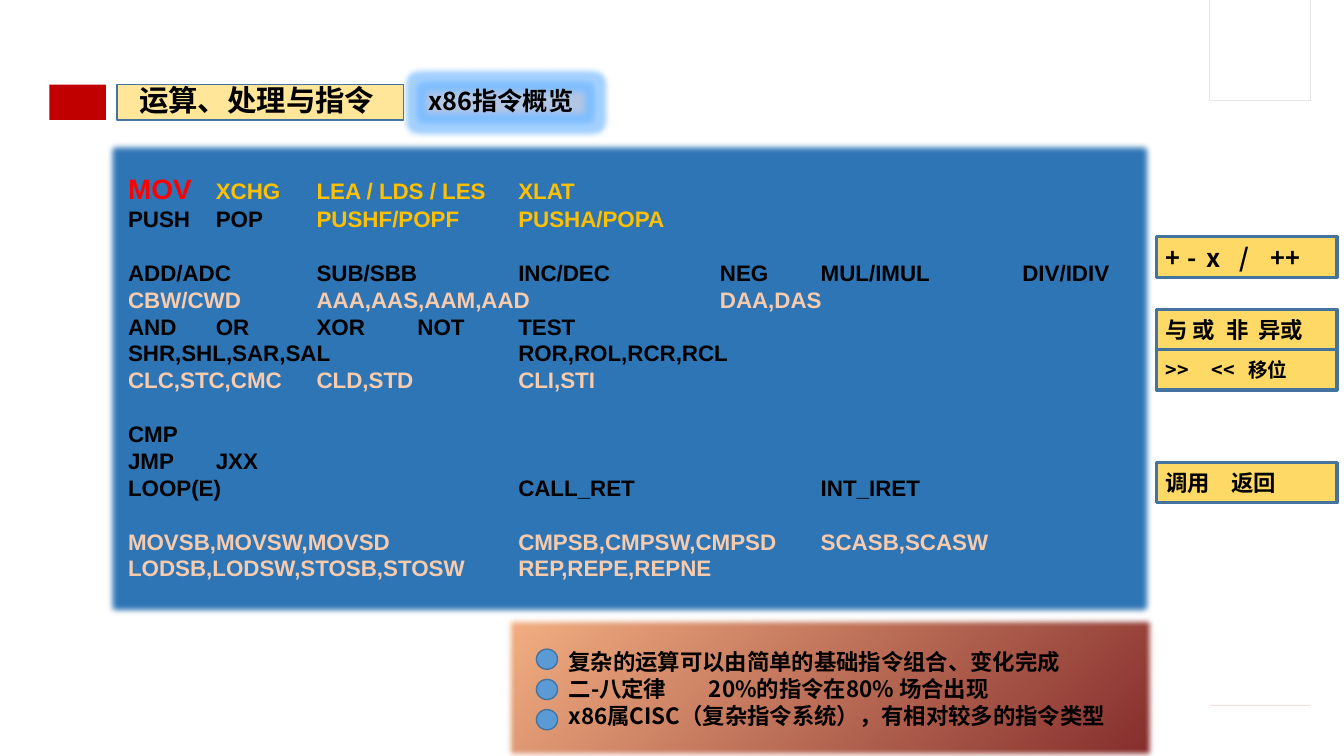
"""Builds the slide that gives an overview of the x86 instructions."""
from math import cos, radians, sin

from lxml import etree
from pptx import Presentation
from pptx import util as u
from pptx.dml.color import RGBColor
from pptx.enum import dml, shapes, text
from pptx.oxml.ns import qn

SANS = "Noto Sans CJK SC"
BLACK, AMBER, PEACH, RED, OUTLINE = "000000", "FFC000", "F8CBAD", "C00000", "43739E"
PITCH = 19.2

INSTRUCTIONS = [
    [[("MOV", "FF0000", 20), ("\tXCHG\tLEA / LDS / LES\tXLAT", AMBER, 16)],
     [("PUSH\tPOP\t", BLACK, 16), ("PUSHF/POPF\tPUSHA/POPA", AMBER, 16)]],
    [[("ADD/ADC\tSUB/SBB\t\tINC/DEC\t\tNEG\tMUL/IMUL\tDIV/IDIV", BLACK, 16)],
     [("CBW/CWD\tAAA,AAS,AAM,AAD\t\tDAA,DAS", PEACH, 16)],
     [("AND\tOR\tXOR\tNOT\tTEST", BLACK, 16)],
     [("SHR,SHL,SAR,SAL\t\tROR,ROL,RCR,RCL", BLACK, 16)],
     [("CLC,STC,CMC\tCLD,STD\t\tCLI,STI", PEACH, 16)]],
    [[("CMP", BLACK, 16)],
     [("JMP\tJXX", BLACK, 16)],
     [("LOOP(E)\t\t\tCALL_RET\t\tINT_IRET", BLACK, 16)]],
    [[("MOVSB,MOVSW,MOVSD\t\tCMPSB,CMPSW,CMPSD\tSCASB,SCASW", PEACH, 16)],
     [("LODSB,LODSW,STOSB,STOSW\tREP,REPE,REPNE", PEACH, 16)]],
]
REMARKS = ["复杂的运算可以由简单的基础指令组合、变化完成",
           "二-八定律\t20%的指令在80% 场合出现",
           "x86属CISC（复杂指令系统），有相对较多的指令类型"]
GROUP_LABELS = [(2.35, "+\t-\tx\t/\t++", 18, [0.22, 0.41, 0.73, 1.04]),
                (3.07, "与 或\t非\t异或", 16, [0.6, 0.92]),
                (3.47, ">>\t<<\t移位", 14, [0.46, 0.82]),
                (4.59, "调用\t返回", 16, [0.65])]


def rgb(value):
    """Return the colour of a hex string."""
    return RGBColor.from_string(value)


def style(shape, fill, line=None, width=1):
    """Give a shape a plain fill, an optional outline and no shadow."""
    shape.shadow.inherit = False
    shape.fill.solid()
    shape.fill.fore_color.rgb = rgb(fill)
    if line:
        shape.line.color.rgb = rgb(line)
        shape.line.width = u.Pt(width)
    else:
        shape.line.fill.background()


def block(slide, box, fill, line=None, width=1, kind=shapes.MSO_SHAPE.RECTANGLE):
    """Add a preset shape in the given box."""
    shape = slide.shapes.add_shape(kind, *map(u.Inches, box))
    style(shape, fill, line, width)
    return shape


def effect(shape, name, points):
    """Add a soft edge or a glow of the given radius."""
    effects = shape._element.spPr.find(qn("a:effectLst"))
    return etree.SubElement(effects, qn("a:" + name), rad=str(u.Pt(points)))


def frame(shape, left, top=0, anchor=text.MSO_ANCHOR.MIDDLE):
    """Set the insets and the anchor of a shape's text and return its frame."""
    body = shape.text_frame
    body.word_wrap = True
    body.auto_size = text.MSO_AUTO_SIZE.NONE
    body.vertical_anchor = anchor
    body.margin_left, body.margin_top = u.Inches(left), u.Inches(top)
    body.margin_right = body.margin_bottom = 0
    return body


def format_paragraph(paragraph, size, name=SANS, stops=()):
    """Set tab stops and the bold black font of a paragraph."""
    paragraph.alignment = text.PP_ALIGN.LEFT
    properties = paragraph._p.get_or_add_pPr()
    if stops:
        tabs = etree.SubElement(properties, qn("a:tabLst"))
        for stop in stops:
            etree.SubElement(tabs, qn("a:tab"), pos=str(u.Inches(stop)), algn="l")
    font = paragraph.font
    font.size, font.bold, font.name = u.Pt(size), True, name
    font.color.rgb = rgb(BLACK)
    etree.SubElement(properties.find(qn("a:defRPr")), qn("a:ea"), typeface=SANS)


def next_paragraph(body, index):
    """Return the first paragraph of a frame or a new one."""
    return body.add_paragraph() if index else body.paragraphs[0]


def heading(slide, left, top, height):
    """Place the red marker, the title and the glowing subtitle in a row."""
    block(slide, (left, top, 0.56, height), RED)
    title = slide.shapes.title
    title.left, title.top = u.Inches(left + 0.67), u.Inches(top)
    title.width, title.height = u.Inches(2.84), u.Inches(height)
    style(title, "FFE699", OUTLINE)
    subtitle = block(slide, (left + 3.67, top, 1.71, height), "B4C7E7")
    glow = effect(subtitle, "glow", 8)
    tint = etree.SubElement(glow, qn("a:srgbClr"), val="66B2FF")
    etree.SubElement(tint, qn("a:alpha"), val="60000")
    effect(subtitle, "softEdge", 5)
    for shape, words, size, inset in ((title, "运算、处理与指令", 21, 0.22),
                                      (subtitle, "x86指令概览", 18, 0.09)):
        paragraph = frame(shape, inset).paragraphs[0]
        paragraph.text = words
        paragraph.line_spacing = 0.9
        format_paragraph(paragraph, size)


def instruction_panel(slide, box):
    """Place the blue panel with the groups of instructions."""
    panel = block(slide, box, "2E75B6", OUTLINE, 2.25)
    panel.line.dash_style = dml.MSO_LINE.ROUND_DOT
    effect(panel, "softEdge", 5)
    body = frame(panel, 0.23, 0.38, text.MSO_ANCHOR.TOP)
    rows = [(group, place, row) for group, lines in enumerate(INSTRUCTIONS)
            for place, row in enumerate(lines)]
    for index, (group, place, row) in enumerate(rows):
        paragraph = next_paragraph(body, index)
        paragraph.line_spacing = u.Pt(PITCH)
        if group and not place:
            paragraph.space_before = u.Pt(PITCH)
        format_paragraph(paragraph, 16, "Arial", [0.87 + n for n in range(9)])
        for words, colour, size in row:
            run = paragraph.add_run()
            run.text = words
            run.font.color.rgb = rgb(colour)
            run.font.size = u.Pt(size)


def remarks_panel(slide, box):
    """Place the shaded panel with three remarks and their round markers."""
    left, top = box[:2]
    panel = block(slide, box, "F4B183")
    panel.fill.gradient()
    for stop, position, colour in zip(panel.fill.gradient_stops, (0, 1), ("F4B183", "832B2B")):
        stop.position = position
        stop.color.rgb = rgb(colour)
    shading = panel._element.spPr.find(qn("a:gradFill"))
    shading.remove(shading.find(qn("a:lin")))
    path = etree.SubElement(shading, qn("a:path"), path="circle")
    etree.SubElement(path, qn("a:fillToRect"), r="100000", b="100000")
    effect(panel, "softEdge", 5)
    body = frame(panel, 0.65, 0.33, text.MSO_ANCHOR.TOP)
    for index, remark in enumerate(REMARKS):
        paragraph = next_paragraph(body, index)
        paragraph.text = remark
        paragraph.line_spacing = u.Pt(PITCH)
        format_paragraph(paragraph, 16, stops=[1.39])
        block(slide, (left + 0.33, top + 0.34 + 0.3 * index, 0.21, 0.2), "5B9BD5",
              OUTLINE, kind=shapes.MSO_SHAPE.OVAL)


def group_labels(slide, left, width, height):
    """Place the yellow labels beside the groups of instructions."""
    for top, words, size, stops in GROUP_LABELS:
        label = block(slide, (left, top, width, height), "FFD966", OUTLINE, 2.25)
        paragraph = frame(label, 0.09).paragraphs[0]
        paragraph.text = words
        format_paragraph(paragraph, size, stops=stops)


def gear(slide, centre, teeth, radii, corners, colour):
    """Draw a gear from its tooth count, tip, root and hole radii and tooth angles."""
    def point(radius, angle):
        """Return the point at a radius and an angle in degrees."""
        return (centre[0] + radius * cos(radians(angle)),
                centre[1] - radius * sin(radians(angle)))

    tip, root, hole = radii
    rise, fall, start, end = corners
    profile = [(tip, rise), (tip, fall), (root, start), (root, (start + end) / 2), (root, end)]
    rim = [point(radius, angle + 360 / teeth * tooth)
           for tooth in range(teeth) for radius, angle in profile]
    bore = [point(hole, 6 * step) for step in range(60)]
    builder = slide.shapes.build_freeform(*rim[0], scale=u.Inches(1))
    builder.add_line_segments(rim[1:])
    builder.move_to(*bore[0])
    builder.add_line_segments(bore[1:])
    style(builder.convert_to_shape(), colour)


def main():
    """Build and save the slide."""
    deck = Presentation()
    deck.slide_width, deck.slide_height = u.Inches(13.33), u.Inches(7.5)
    slide = deck.slides.add_slide(deck.slide_layouts[5])
    heading(slide, 0.49, 0.84, 0.35)
    instruction_panel(slide, (1.04, 1.39, 10.42, 4.74))
    gear(slide, (12.6, 0.58), 16, (0.5, 0.42, 0.32), (0.5, 8.5, 11.5, 19.5), "404040")
    remarks_panel(slide, (4.99, 6.1, 6.48, 1.45))
    gear(slide, (12.75, 7), 8, (0.35, 0.27, 0.2), (10.8, 20.7, 27.5, 48.7), RED)
    group_labels(slide, 11.47, 1.79, 0.4)
    deck.save("out.pptx")


if __name__ == "__main__":
    main()
